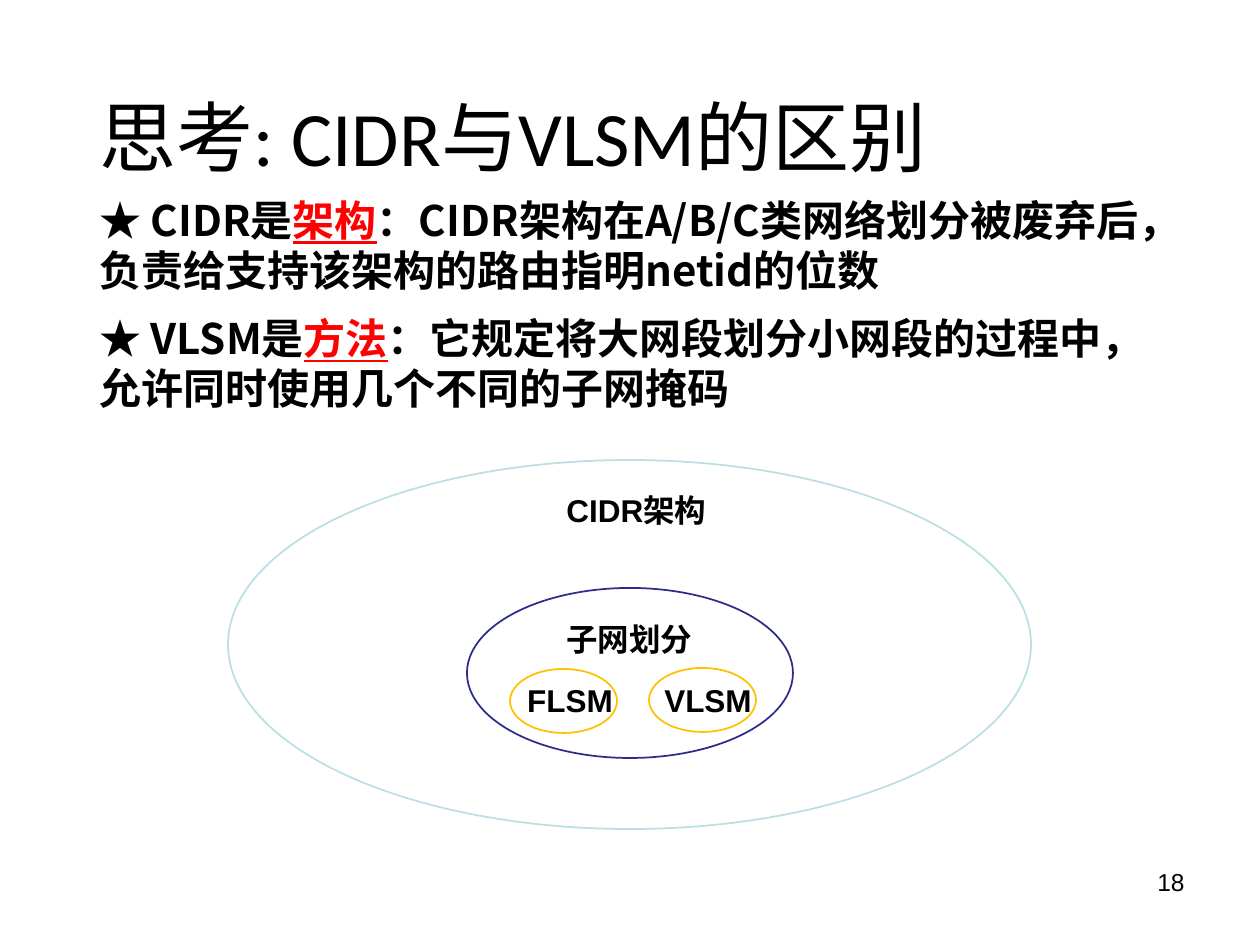
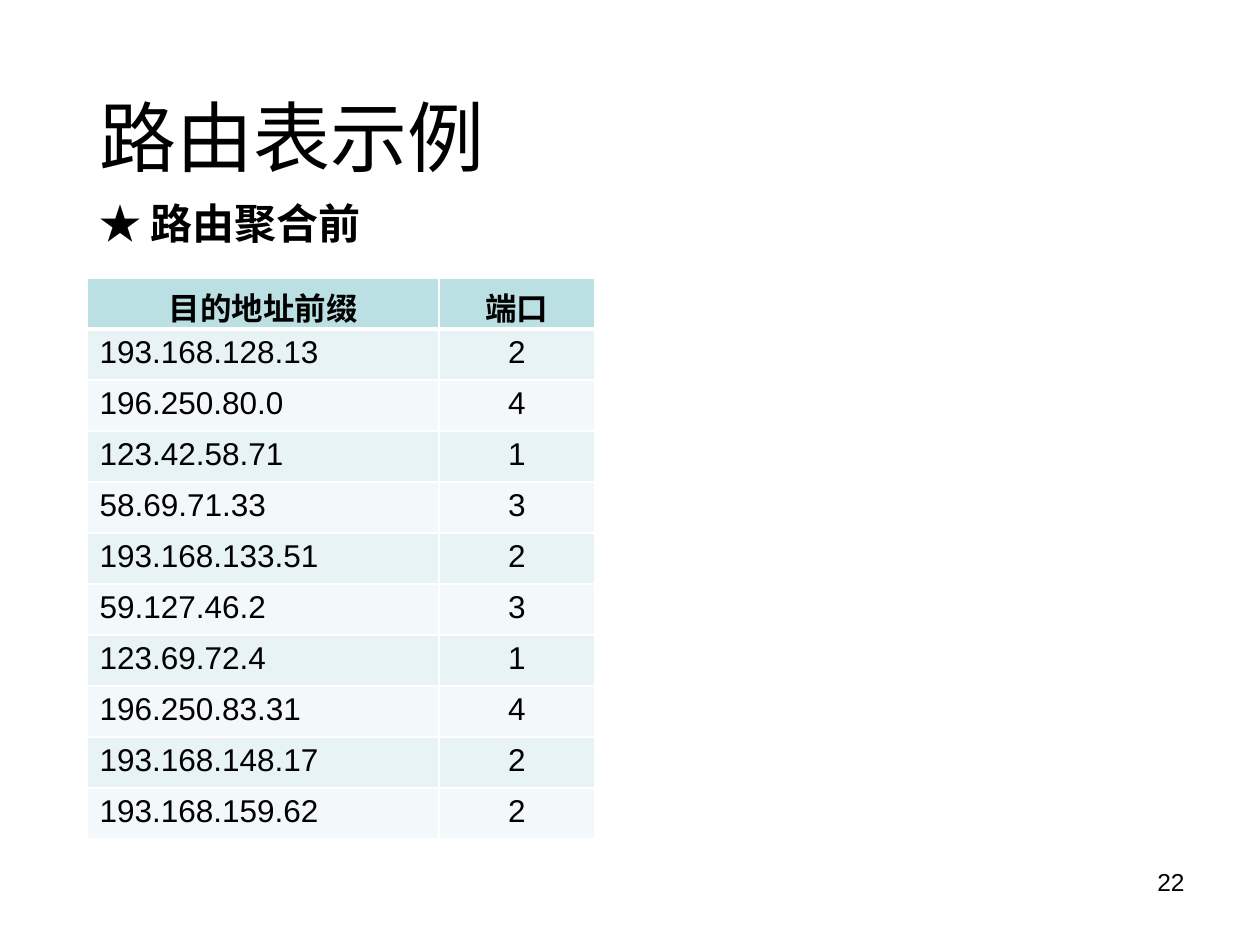
import pptx
import pptx.util
import pptx.dml.color
import pptx.enum.shapes
import pptx.enum.text
import pptx.oxml
import pptx.oxml.ns

PX = 914400 / 126
COLORS = {
    "text": "000000", "emphasis": "FF0000", "paper": "FFFFFF",
    "cidr": "BBE0E3", "subnet": "2D2D89", "mask": "FFC000",
    "header": "BBE0E3", "odd": "E7F3F4", "even": "F3F9FA",
}
RGB = {name: pptx.dml.color.RGBColor.from_string(code) for name, code in COLORS.items()}
ALIGN = pptx.enum.text.PP_ALIGN
ANCHOR = pptx.enum.text.MSO_ANCHOR


def emu(*lengths):
    return [pptx.util.Emu(round(length * PX)) for length in lengths]


def add_text(slide, box, paragraphs, size, face, bold=False, align=ALIGN.LEFT,
             spacing=None, anchor=ANCHOR.TOP):
    """Each paragraph is a list of strings; every second string is emphasised."""
    frame = slide.shapes.add_textbox(*emu(*box)).text_frame
    frame.word_wrap = True
    frame.vertical_anchor = anchor
    for number, pieces in enumerate(paragraphs):
        paragraph = frame.add_paragraph() if number else frame.paragraphs[0]
        if number:
            paragraph.space_before = pptx.util.Pt(10)
        paragraph.alignment = align
        paragraph.line_spacing = spacing
        paragraph.font.size = pptx.util.Pt(size)
        paragraph.font.name = face
        paragraph.font.bold = bold
        for position, piece in enumerate(pieces):
            run = paragraph.add_run()
            run.text = piece
            emphasised = position % 2 == 1
            run.font.color.rgb = RGB["emphasis" if emphasised else "text"]
            if emphasised:
                run.font.underline = True
    return frame


deck = pptx.Presentation()
deck.slide_width, deck.slide_height = emu(1260, 945)

# Titles and page numbers
slides = []
for title, page in [("思考: CIDR与VLSM的区别", "18"), ("路由表示例", "22")]:
    slide = deck.slides.add_slide(deck.slide_layouts[6])
    add_text(slide, (903, 861, 294, 66), [[page]], 14, "Arial", align=ALIGN.RIGHT)
    add_text(slide, (87, 50, 1086, 183), [[title]], 44, "Calibri",
             spacing=0.9, anchor=ANCHOR.MIDDLE)
    slides.append(slide)
comparison, routing = slides

# Comparison: definitions
add_text(comparison, (87, 188, 1086, 707), [
    ["★ CIDR是", "架构", "：CIDR架构在A/B/C类网络划分被废弃后，负责给支持该架构的路由指明netid的位数"],
    ["★ VLSM是", "方法", "：它规定将大网段划分小网段的过程中，允许同时使用几个不同的子网掩码"],
], 24, "Noto Sans CJK SC", bold=True)

# Comparison: nested ellipses, outermost first
for label, color, ellipse_box, label_box in [
    ("CIDR架构", "cidr", (228, 460, 803, 369), (512, 485, 249, 50)),
    ("子网划分", "subnet", (467, 588, 326, 170), (505, 614, 249, 50)),
    ("FLSM", "mask", (510, 669, 107, 64), (491, 675, 158, 50)),
    ("VLSM", "mask", (649, 668, 107, 64), (629, 675, 158, 50)),
]:
    ellipse = comparison.shapes.add_shape(
        pptx.enum.shapes.MSO_SHAPE.OVAL, *emu(*ellipse_box))
    ellipse.shadow.inherit = False
    ellipse.fill.solid()
    ellipse.fill.fore_color.rgb = RGB["paper"]
    ellipse.line.color.rgb = RGB[color]
    ellipse.line.width = pptx.util.Pt(1)
    caption = add_text(comparison, label_box, [[label]], 18, "Arial",
                       bold=True, align=ALIGN.CENTER)
    caption.auto_size = pptx.enum.text.MSO_AUTO_SIZE.SHAPE_TO_FIT_TEXT

# Routing: heading
add_text(routing, (87, 197, 1133, 688), [["★ 路由聚合前"]], 24,
         "Noto Sans CJK SC", bold=True, spacing=0.9)

# Routing: table
routes = [
    ("目的地址前缀", "端口"),
    ("193.168.128.13", "2"),
    ("196.250.80.0", "4"),
    ("123.42.58.71", "1"),
    ("58.69.71.33", "3"),
    ("193.168.133.51", "2"),
    ("59.127.46.2", "3"),
    ("123.69.72.4", "1"),
    ("196.250.83.31", "4"),
    ("193.168.148.17", "2"),
    ("193.168.159.62", "2"),
]
ROW_HEIGHT = 51
COLUMN_WIDTHS = (352, 156)
table = routing.shapes.add_table(
    len(routes), len(COLUMN_WIDTHS),
    *emu(87, 278, sum(COLUMN_WIDTHS), ROW_HEIGHT * len(routes))).table
for column, width in zip(table.columns, emu(*COLUMN_WIDTHS)):
    column.width = width
for row_number, route in enumerate(routes):
    table.rows[row_number].height = emu(ROW_HEIGHT)[0]
    is_header = row_number == 0
    for column_number, value in enumerate(route):
        cell = table.cell(row_number, column_number)
        cell.text = value
        cell.fill.solid()
        cell.fill.fore_color.rgb = RGB[
            "header" if is_header else "odd" if row_number % 2 else "even"]
        paragraph = cell.text_frame.paragraphs[0]
        centred = is_header or column_number == 1
        paragraph.alignment = ALIGN.CENTER if centred else ALIGN.LEFT
        paragraph.font.size = pptx.util.Pt(18)
        paragraph.font.name = "Arial"
        paragraph.font.bold = is_header
        paragraph.font.color.rgb = RGB["text"]
        # White rules, thicker between the header and the first route
        rules = {"lnL": 1, "lnR": 1, "lnT": 3 if row_number == 1 else 1,
                 "lnB": 3 if is_header else 1}
        for order, (side, points) in enumerate(rules.items()):
            cell._tc.get_or_add_tcPr().insert(order, pptx.oxml.parse_xml(
                f'<a:{side} {pptx.oxml.ns.nsdecls("a")} w="{pptx.util.Pt(points)}">'
                f'<a:solidFill><a:srgbClr val="{COLORS["paper"]}"/></a:solidFill>'
                f'</a:{side}>'))

deck.save("out.pptx")
